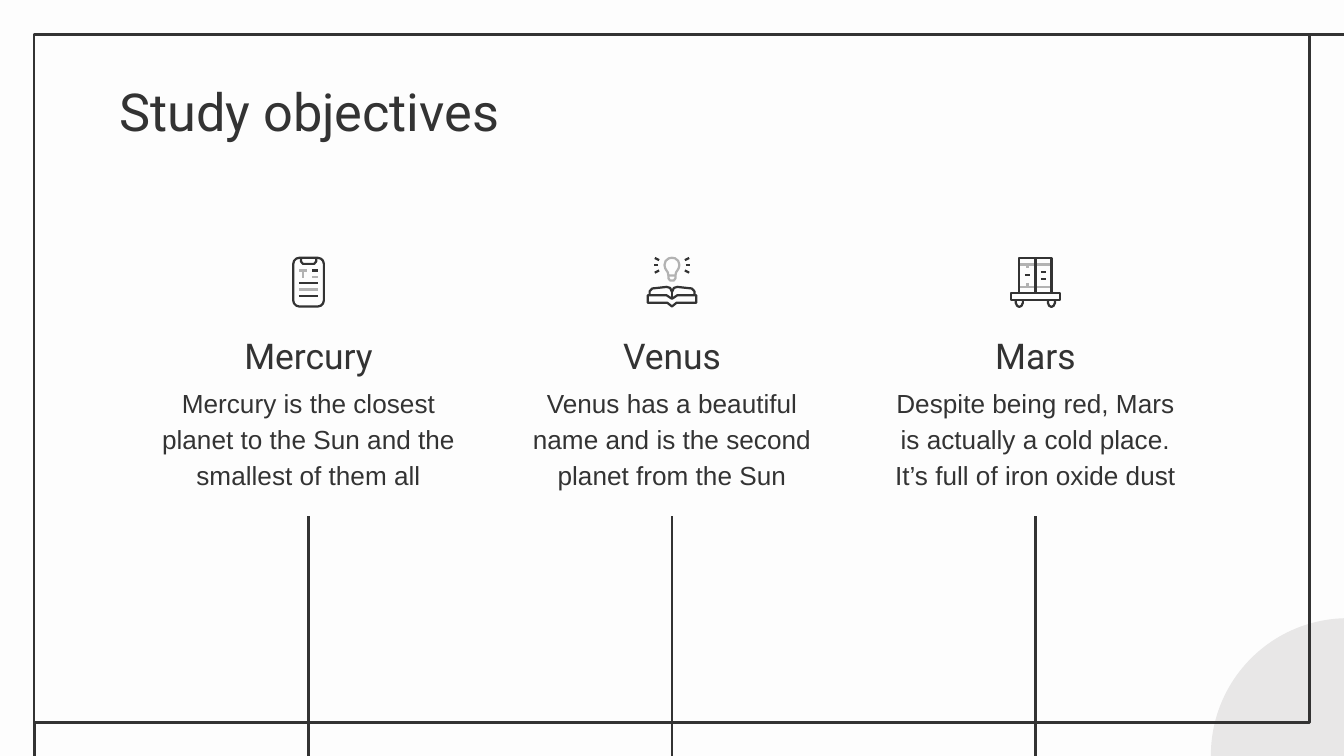
from pptx import Presentation
from pptx.dml.color import RGBColor
from pptx.enum.shapes import MSO_CONNECTOR, MSO_SHAPE
from pptx.enum.text import MSO_ANCHOR, PP_ALIGN
from pptx.oxml.ns import qn
from pptx.util import Pt
from lxml import etree

STRAIGHT = MSO_CONNECTOR.STRAIGHT
ELLIPSE = MSO_SHAPE.OVAL
RECTANGLE = MSO_SHAPE.RECTANGLE
ROUNDED = MSO_SHAPE.ROUNDED_RECTANGLE
TOP, BOTTOM = MSO_ANCHOR.TOP, MSO_ANCHOR.BOTTOM
LEFT, CENTER = PP_ALIGN.LEFT, PP_ALIGN.CENTER

INK, GREY, PALE, PAPER = "333333", "B2B2B2", "E8E7E7", "FDFDFD"
HEADING_FONT, BODY_FONT = "Roboto", "Arial"
FRAME_WEIGHT, ICON_WEIGHT = 1.5, 1.2
MIDDLE, COLUMN_STEP, COLUMN_WIDTH = 360, 194.7, 176.4
ICON_TOP = 137.5

COLUMNS = [
    ("Mercury", "Mercury is the closest planet to the Sun and the smallest of them all"),
    ("Venus", "Venus has a beautiful name and is the second planet from the Sun"),
    ("Mars", "Despite being red, Mars is actually a cold place. It’s full of iron oxide dust"),
]


def color(hex_string):
    return RGBColor.from_string(hex_string)


def mirrored(half, axis=0):
    return half + [(2 * axis - x, y) for x, y in reversed(half)]


class Painter:
    def __init__(self, slide):
        self.slide = slide
        self.shapes = slide.shapes

    def background(self, fill):
        self.slide.background.fill.solid()
        self.slide.background.fill.fore_color.rgb = color(fill)

    def finish(self, shape, fill, line, weight):
        shape.shadow.inherit = False
        if fill:
            shape.fill.solid()
            shape.fill.fore_color.rgb = color(fill)
        else:
            shape.fill.background()
        if line:
            shape.line.color.rgb = color(line)
            shape.line.width = Pt(weight)
        else:
            shape.line.fill.background()

    def shape(self, kind, left, top, width, height, fill=None, line=None, weight=ICON_WEIGHT):
        shape = self.shapes.add_shape(kind, Pt(left), Pt(top), Pt(width), Pt(height))
        self.finish(shape, fill, line, weight)
        return shape

    def line(self, x1, y1, x2, y2, line=INK, weight=ICON_WEIGHT):
        connector = self.shapes.add_connector(STRAIGHT, Pt(x1), Pt(y1), Pt(x2), Pt(y2))
        connector.line.color.rgb = color(line)
        connector.line.width = Pt(weight)
        etree.SubElement(connector._element.spPr, qn("a:effectLst"))

    def outline(self, x, y, points, line=INK, close=False):
        corners = [(Pt(x + dx), Pt(y + dy)) for dx, dy in points]
        builder = self.shapes.build_freeform(*corners[0], scale=1.0)
        builder.add_line_segments(corners[1:], close=close)
        self.finish(builder.convert_to_shape(), None, line, ICON_WEIGHT)

    def strokes(self, x, y, segments):
        for x1, y1, x2, y2, line in segments:
            self.line(x + x1, y + y1, x + x2, y + y2, line)

    def text(self, words, left, top, width, height, size, font, align=CENTER, anchor=TOP, spacing=1.15):
        box = self.shapes.add_textbox(Pt(left), Pt(top), Pt(width), Pt(height))
        frame = box.text_frame
        frame.word_wrap = True
        frame.vertical_anchor = anchor
        frame.margin_left = frame.margin_right = frame.margin_top = frame.margin_bottom = Pt(7.2)
        frame.text = words
        para = frame.paragraphs[0]
        para.alignment = align
        para.line_spacing = spacing
        span = para.runs[0]
        span.font.size = Pt(size)
        span.font.name = font
        span.font.color.rgb = color(INK)


def draw_clipboard(painter, x, y):
    board = painter.shape(ROUNDED, x - 8.2, y + 0.6, 16.4, 26.1, line=INK)
    board.adjustments[0] = 0.2
    painter.outline(x, y, mirrored([(-4.1, 0.6), (-4.1, 2.6), (-3, 3.9)]))
    painter.strokes(x, y, [
        (-4.9, 7.4, -0.9, 7.4, GREY),
        (-2.9, 7.4, -2.9, 11.4, GREY),
        (2, 7.4, 5.2, 7.4, INK),
        (2, 10.8, 5.2, 10.8, GREY),
    ])
    for row, line in enumerate([INK, GREY, INK]):
        level = 14.2 + 3.4 * row
        painter.strokes(x, y, [(-5.2, level, 5.2, level, line)])


def draw_book(painter, x, y):
    cover = [(-13, 20.7), (-2.9, 20.7), (0, 22.6), (2.9, 20.7), (13, 20.7)]
    lower = [(13, 24.7), (2.5, 24.7), (0, 26.7), (-2.5, 24.7), (-13, 24.7)]
    painter.outline(x, y, cover + lower, close=True)
    pages = [(-12, 20.5), (-12, 18.6), (-10.6, 17.1), (-4.3, 16.4), (-2.9, 16.2), (-1, 16.8), (0, 19)]
    painter.outline(x, y, mirrored(pages))
    bulb = [(-1.9, 10.1), (-2.2, 8.5), (-3.6, 6.3), (-4, 4.5), (-3.4, 2.3), (-1.7, 0.9), (0, 0.6)]
    painter.outline(x, y, mirrored(bulb), GREY, close=True)
    painter.outline(x, y, mirrored([(-1.9, 10.1), (-1.9, 11.6), (-1, 12.8)]), GREY)
    painter.strokes(x, y, [(0, 18.5, 0, 22.6, INK)])
    for side in (-1, 1):
        painter.strokes(x, y, [
            (side * 6.9, 1.9, side * 9.2, 0.7, INK),
            (side * 7.3, 4.6, side * 9.8, 4.6, INK),
            (side * 6.9, 7.4, side * 9.2, 8.6, INK),
        ])


def draw_cart(painter, x, y):
    painter.strokes(x, y, [
        (-8.6, 4.2, 8.6, 4.2, GREY),
        (-8.6, 16.2, 8.6, 16.2, GREY),
        (-4.2, 4.2, -4.2, 6.3, GREY),
        (-4.2, 14, -4.2, 16.2, GREY),
        (0, 0.6, 0, 19.4, INK),
        (-5.6, 10, -3, 10, INK),
        (2.9, 8.3, 5.5, 8.3, INK),
        (2.9, 11.9, 5.5, 11.9, INK),
    ])
    painter.shape(RECTANGLE, x - 8.7, y + 0.6, 17.4, 18.8, line=INK)
    painter.shape(RECTANGLE, x - 13, y + 19.4, 26, 3.8, line=INK)
    for axle in (-8.6, 8.6):
        wheel = [(axle - 1.9, 23.2), (axle - 1.9, 24.8), (axle - 1.2, 26.3), (axle - 0.3, 26.8)]
        painter.outline(x, y, mirrored(wheel, axle))


def main():
    deck = Presentation()
    deck.slide_width, deck.slide_height = Pt(720), Pt(405)
    page = deck.slides.add_slide(deck.slide_layouts[6])
    painter = Painter(page)

    painter.background(PAPER)
    painter.shape(ELLIPSE, 648.7, 331.2, 146.9, 146.9, fill=PALE)
    painter.shape(RECTANGLE, 18.2, 18.3, 683.3, 368.6, line=INK, weight=FRAME_WEIGHT)
    painter.line(726, 18.3, 701.5, 18.3, weight=FRAME_WEIGHT)
    painter.line(18.5, 387, 18.5, 412, weight=FRAME_WEIGHT)
    painter.text("Study objectives", 56.9, 35.3, 607, 45.4, 28, HEADING_FONT, LEFT, spacing=1)

    icons = [draw_clipboard, draw_book, draw_cart]
    for index, ((name, description), draw_icon) in enumerate(zip(COLUMNS, icons)):
        x = MIDDLE + (index - 1) * COLUMN_STEP
        left = x - COLUMN_WIDTH / 2
        painter.text(description, left, 198, COLUMN_WIDTH, 78.5, 14, BODY_FONT)
        painter.text(name, left, 180, COLUMN_WIDTH, 28.8, 19, HEADING_FONT, anchor=BOTTOM)
        draw_icon(painter, x, ICON_TOP)
        painter.line(x, 276.5, x, 409.7, weight=FRAME_WEIGHT)

    deck.save("out.pptx")


if __name__ == "__main__":
    main()
